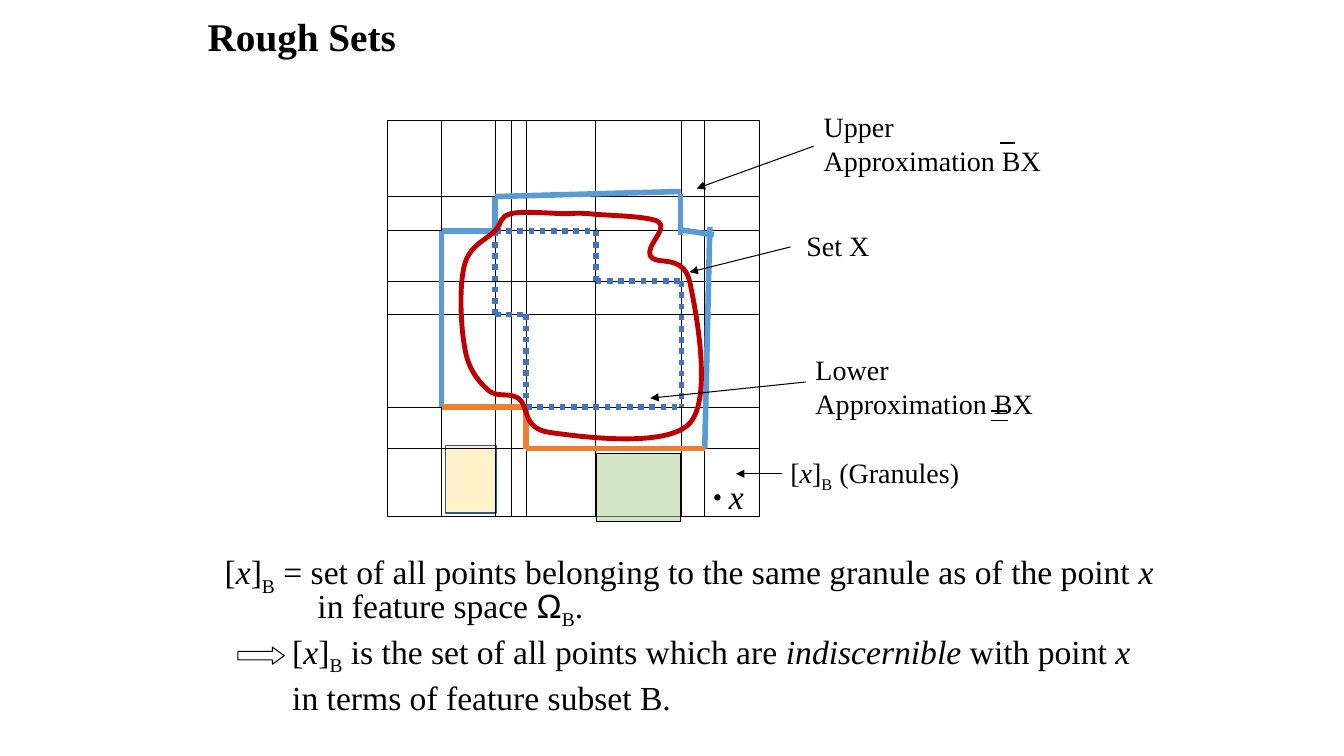
from lxml import etree
from pptx import Presentation
from pptx.dml.color import RGBColor
from pptx.enum.dml import MSO_LINE_DASH_STYLE as Dash
from pptx.enum.shapes import MSO_CONNECTOR, MSO_SHAPE
from pptx.enum.text import MSO_ANCHOR, MSO_AUTO_SIZE, PP_ALIGN
from pptx.oxml.ns import qn
from pptx.util import Pt

PX = 9144  # 100 px to the inch
BLACK = RGBColor(0x00, 0x00, 0x00)
UPPER_BLUE = RGBColor(0x5B, 0x9B, 0xD5)
UPPER_ORANGE = RGBColor(0xED, 0x7D, 0x31)
LOWER_BLUE = RGBColor(0x44, 0x72, 0xC4)
SET_RED = RGBColor(0xC0, 0x00, 0x00)
GREEN = RGBColor(0xA9, 0xD1, 0x8E)
YELLOW = RGBColor(0xFF, 0xE6, 0x99)
DARK_BLUE = RGBColor(0x2F, 0x55, 0x97)
SERIF = "Times New Roman"

deck = Presentation()
deck.slide_width, deck.slide_height = 1333 * PX, 750 * PX
page = deck.slides.add_slide(deck.slide_layouts[5])
shapes = page.shapes


def add_lines(points, color=BLACK, width=0.75, dash=None, arrow=False):
    """Join consecutive points with straight connectors."""
    for start, end in zip(points, points[1:]):
        line = shapes.add_connector(MSO_CONNECTOR.STRAIGHT, *(v * PX for v in start + end))
        line.line.color.rgb = color
        line.line.width = Pt(width)
        if dash:
            line.line.dash_style = dash
        if arrow:
            etree.SubElement(line.line._get_or_add_ln(), qn("a:tailEnd"), type="triangle")
        etree.SubElement(line._element.spPr, qn("a:effectLst"))


def write_text(box, place, size, paragraphs, bold=False):
    """Place a box and fill it; each paragraph is a list of (text, style) runs."""
    box.left, box.top, box.width, box.height = (v * PX for v in place)
    frame = box.text_frame
    frame.word_wrap = False
    frame.auto_size = MSO_AUTO_SIZE.SHAPE_TO_FIT_TEXT
    frame.vertical_anchor = MSO_ANCHOR.TOP
    for index, runs in enumerate(paragraphs):
        para = frame.add_paragraph() if index else frame.paragraphs[0]
        para.alignment = PP_ALIGN.LEFT
        para.font.size, para.font.name, para.font.bold = Pt(size), SERIF, bold
        para.font.color.rgb = BLACK
        for text, style in runs:
            span = para.add_run()
            span.text = text
            if style == "italic":
                span.font.italic = True
            elif style == "sub":
                span.font._element.set("baseline", "-25000")
            elif style:
                span.font.name = style


write_text(shapes.title, (196, 7, 209, 57), 28, [[("Rough Sets", "")]], bold=True)

# Feature space and its granules
LEFT, TOP, RIGHT, BOTTOM = 384, 120, 753, 512
blocks = [
    (MSO_SHAPE.RECTANGLE, (LEFT, TOP, RIGHT - LEFT, BOTTOM - TOP), None, BLACK),
    (MSO_SHAPE.RECTANGLE, (592, 450, 83, 67), GREEN, BLACK),
    (MSO_SHAPE.RECTANGLE, (442, 442, 50, 67), YELLOW, DARK_BLUE),
    (MSO_SHAPE.RIGHT_ARROW, (236, 642, 46, 17), None, BLACK),
]
for kind, place, fill, outline in blocks:
    block = shapes.add_shape(kind, *(v * PX for v in place))
    block.shadow.inherit = False
    block.line.color.rgb = outline
    block.line.width = Pt(0.75)
    if fill:
        block.fill.solid()
        block.fill.fore_color.rgb = fill
        color = block._element.spPr.find(qn("a:solidFill"))[0]
        etree.SubElement(color, qn("a:alpha"), val="50000")
    else:
        block.fill.background()
    if kind == MSO_SHAPE.RIGHT_ARROW:
        block.adjustments[1] = 0.69

for x in (438, 491, 507, 522, 591, 676, 699):
    add_lines([(x, TOP), (x, BOTTOM)])
for y in (195, 229, 279, 312, 404, 445):
    add_lines([(LEFT, y), (RIGHT, y)])

# Upper approximation
for border in (
    [(438, 404), (438, 229), (491, 229), (491, 195), (675, 190)],
    [(675, 233), (675, 192)],
    [(675, 228), (708, 233)],
    [(704, 225), (699, 445)],
):
    add_lines(border, UPPER_BLUE, 4)
add_lines([(699, 445), (522, 445), (522, 404), (438, 404)], UPPER_ORANGE, 4)

# Lower approximation
add_lines([(491, 229), (591, 229), (591, 279), (676, 279), (676, 404)], LOWER_BLUE, 4, Dash.ROUND_DOT)
add_lines([(491, 229), (491, 312), (522, 312), (522, 404), (676, 404)], LOWER_BLUE, 4, Dash.ROUND_DOT)

# Set X: a start point, then three Bezier points for each curve
curve_points = [
    (491, 229),
    (499, 220), (495, 215), (507, 212), (518, 209), (548, 212), (561, 212),
    (573, 212), (568, 211), (584, 212), (599, 214), (643, 214), (653, 220),
    (663, 227), (640, 244), (645, 254), (650, 264), (677, 251), (684, 279),
    (690, 307), (707, 395), (684, 420), (661, 445), (573, 433), (545, 429),
    (517, 425), (525, 402), (514, 395), (504, 389), (493, 395), (484, 387),
    (475, 379), (464, 366), (461, 345), (457, 325), (455, 282), (461, 262),
    (466, 243), (484, 237), (491, 229),
]
builder = shapes.build_freeform(*curve_points[0], scale=PX)
builder.add_line_segments(curve_points[1:], close=True)
set_x = builder.convert_to_shape()
set_x.shadow.inherit = False
set_x.fill.background()
set_x.line.color.rgb = SET_RED
set_x.line.width = Pt(3.5)
segments = list(set_x._element.iter(qn("a:lnTo")))
for first in range(0, len(segments), 3):
    curve = etree.Element(qn("a:cubicBezTo"))
    segments[first].addprevious(curve)
    for segment in segments[first:first + 3]:
        curve.append(segment[0])
        segment.getparent().remove(segment)

# Pointers from the labels, and the bars over and under B
for pointer in (
    [(807, 145), (691, 187)],
    [(784, 245), (684, 270)],
    [(799, 379), (645, 395)],
    [(776, 470), (730, 470)],
):
    add_lines(pointer, arrow=True)
add_lines([(992, 142), (1007, 142)], width=1.5)
add_lines([(983, 408), (999, 408)], width=1.5)
add_lines([(983, 417), (1000, 417)])

granule = [("[", ""), ("x", "italic"), ("]", ""), ("B", "sub")]
approximation = [("Approximation BX", "")]
labels = [
    ((713, 467, 35, 50), 24, [[("x", "italic")]]),
    ((807, 104, 237, 77), 20, [[("Upper", "")], approximation]),
    ((790, 222, 83, 44), 20, [[("Set X", "")]]),
    ((799, 345, 237, 77), 20, [[("Lower", "")], approximation]),
    ((774, 447, 190, 44), 20, [granule + [(" (Granules)", "")]]),
    ((213, 542, 960, 50), 24, [granule + [
        (" = set of all points belonging to the same granule as of the point ", ""), ("x", "italic")]]),
    ((305, 575, 289, 50), 24, [[
        ("in feature space ", ""), ("Ω", "Arial"), ("B", "sub"), (".", "")]]),
    ((280, 621, 860, 91), 24, [
        granule + [(" is the set of all points which are ", ""), ("indiscernible", "italic"),
                   (" with point ", ""), ("x", "italic")],
        [("in terms of feature subset B.", "")]]),
]
for place, size, paragraphs in labels:
    write_text(shapes.add_textbox(0, 0, 0, 0), place, size, paragraphs)
write_text(shapes.add_textbox(0, 0, 0, 0), (697, 453, 30, 57), 28, [[(".", "")]], bold=True)

deck.save("out.pptx")
